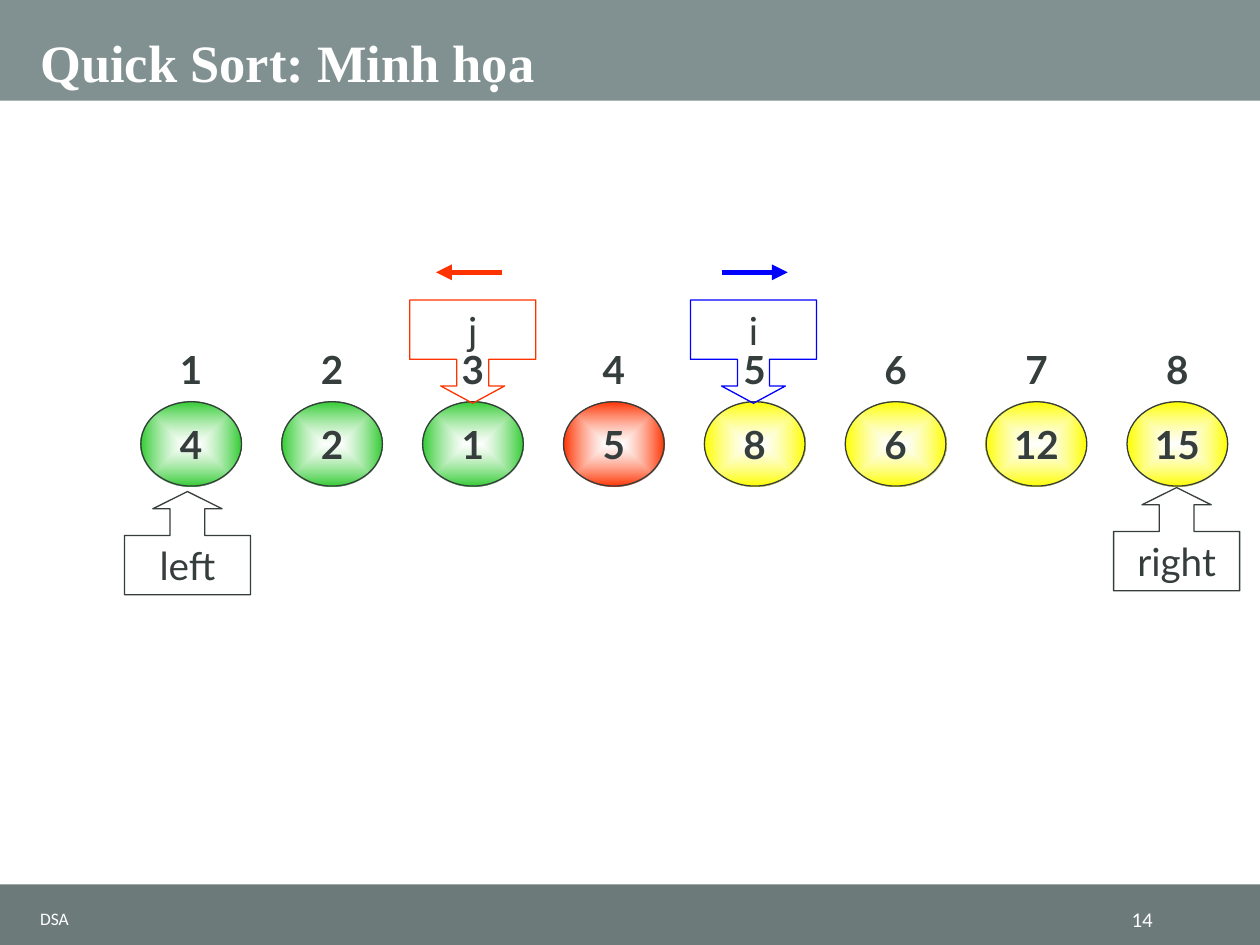
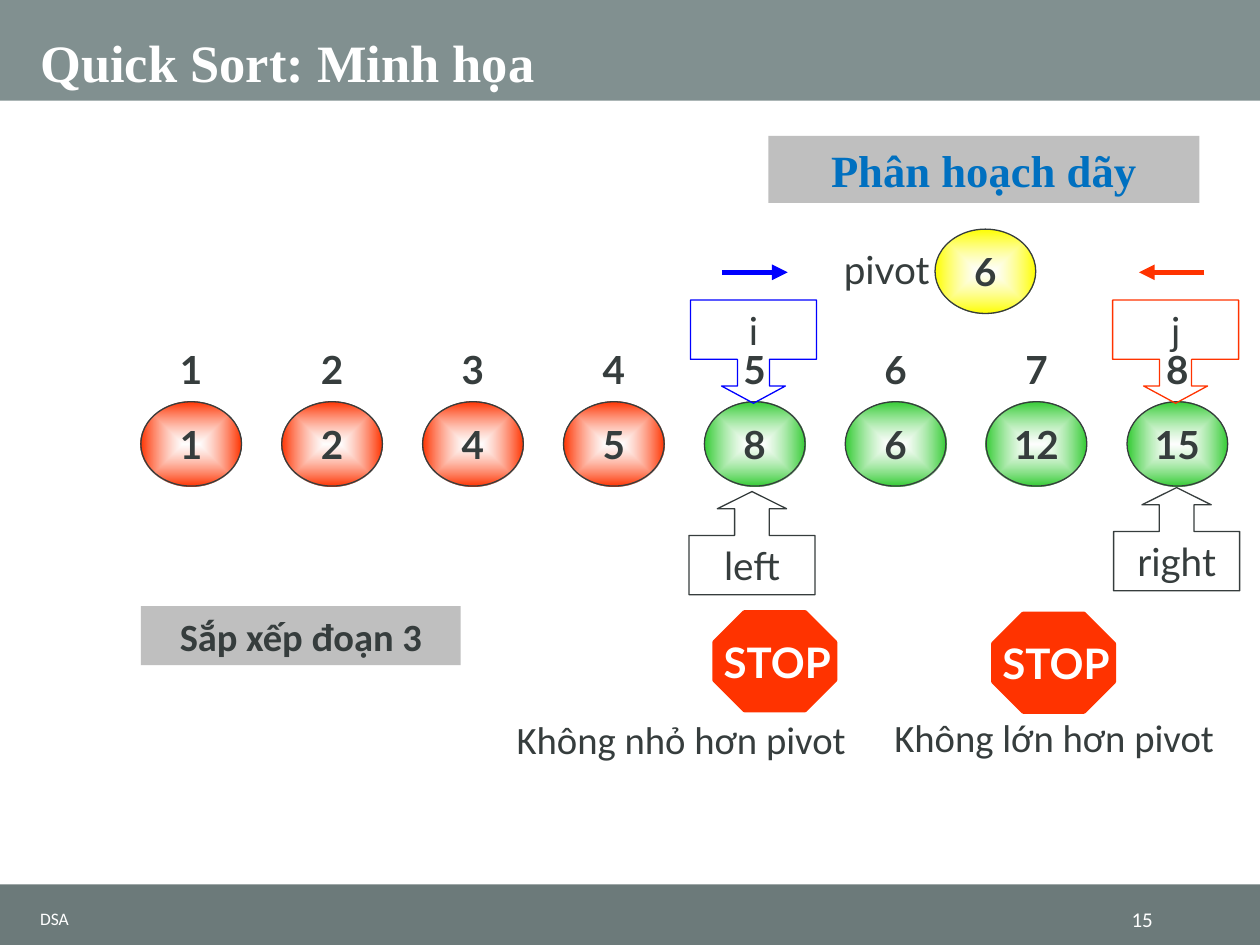
import pptx
import pptx.util
import pptx.dml.color
import pptx.enum.shapes
import pptx.enum.text
import pptx.oxml
import pptx.oxml.ns
from lxml import etree

Cm, Pt = pptx.util.Cm, pptx.util.Pt
RGB = pptx.dml.color.RGBColor.from_string
KIND = pptx.enum.shapes.MSO_SHAPE
ALIGN = pptx.enum.text.PP_ALIGN
ANCHOR = pptx.enum.text.MSO_ANCHOR
qn = pptx.oxml.ns.qn

THEME = {
    "color": {
        "header": "819090", "footer": "6C7A7A", "ink": "363D3D", "white": "FFFFFF",
        "green": "33CC33", "red": "FF3300", "yellow": "FFFF00", "blue": "0000FF",
        "panel": "BFBFBF", "heading": "0070C0",
    },
    "type": {
        "title": {"name": "Times New Roman", "size": Pt(30), "bold": True, "color": "white"},
        "heading": {"name": "Times New Roman", "size": Pt(25.5), "bold": True, "color": "heading"},
        "number": {"name": "Lato", "size": Pt(22.1), "bold": True, "color": "ink"},
        "marker": {"name": "Lato", "size": Pt(22.1), "bold": False, "color": "ink"},
        "stop": {"name": "Lato", "size": Pt(24), "bold": True, "color": "white"},
        "step": {"name": "Calibri", "size": Pt(22), "bold": True, "color": "ink"},
        "caption": {"name": "Calibri", "size": Pt(22.1), "bold": False, "color": "ink"},
        "course": {"name": "Calibri", "size": Pt(10), "bold": False, "color": "white"},
        "page": {"name": "Calibri", "size": Pt(12), "bold": False, "color": "white"},
    },
}
COLOR = {name: RGB(value) for name, value in THEME["color"].items()}


def write(sp, text, style, align=ALIGN.CENTER, anchor=ANCHOR.MIDDLE, **frame):
    """Put one styled paragraph in sp; frame holds further text frame values."""
    tf = sp.text_frame
    for key, value in {"word_wrap": True, "vertical_anchor": anchor, **frame}.items():
        setattr(tf, key, value)
    p = tf.paragraphs[0]
    p.alignment = align
    r = p.add_run()
    r.text = text
    for key, value in THEME["type"][style].items():
        if key == "color":
            r.font.color.rgb = COLOR[value]
        else:
            setattr(r.font, key, value)
    return p


def add(s, kind, box, fill=None, line=None, width=0.75, glow=None, adjust=()):
    """Add a shape (a text box if kind is None); glow fades from white to a colour."""
    box = [Cm(v) for v in box]
    sp = s.shapes.add_textbox(*box) if kind is None else s.shapes.add_shape(kind, *box)
    sp.shadow.inherit = False
    for i, value in enumerate(adjust):
        sp.adjustments[i] = value
    if glow:
        sp.fill.gradient()
        for stop, name in zip(sp.fill.gradient_stops, ("white", glow)):
            stop.color.rgb = COLOR[name]
        for stop, place in zip(sp.fill.gradient_stops, (0, 1)):
            stop.position = place
        grad = sp.element.spPr.find(qn("a:gradFill"))
        white = grad.find(".//" + qn("a:srgbClr"))
        etree.SubElement(white, qn("a:alpha"), val="60000")
        grad.remove(grad.find(qn("a:lin")))
        path = etree.SubElement(grad, qn("a:path"), path="shape")
        etree.SubElement(path, qn("a:fillToRect"), l="50000", t="50000", r="50000", b="50000")
    elif fill:
        sp.fill.solid()
        sp.fill.fore_color.rgb = COLOR[fill]
    else:
        sp.fill.background()
    if line:
        sp.line.color.rgb = COLOR[line]
        sp.line.width = Pt(width)
    else:
        sp.line.fill.background()
    return sp


prs = pptx.Presentation()
prs.slide_width, prs.slide_height = Cm(25.4), Cm(19.05)
layout = prs.slide_layouts[5]

PITCH = 2.84
BALL = (2.03, 1.7)
CALLOUT = (2.54, 2.08)
UP = (KIND.UP_ARROW_CALLOUT, (0.336, 0.336, 0.167, 0.575))
DOWN = (KIND.DOWN_ARROW_CALLOUT, (0.31, 0.31, 0.167, 0.575))

# Numbers, ball colours and the left edges of the movable markers
steps = [
    {"page": 14, "values": (4, 2, 1, 5, 8, 6, 12, 15),
     "colors": ["green"] * 3 + ["red"] + ["yellow"] * 4, "left": 2.51, "j": 8.26},
    {"page": 15, "values": (1, 2, 4, 5, 8, 6, 12, 15),
     "colors": ["red"] * 4 + ["green"] * 4, "left": 13.89, "j": 22.43},
]

for step in steps:
    s = prs.slides.add_slide(layout)
    if step is steps[0]:
        # The bands belong to the layout, behind everything else
        for top, height, name in ((0, 2.03, "header"), (17.83, 1.22, "footer")):
            band = add(s, KIND.RECTANGLE, (0, top, 25.4, height), fill=name)
            layout.shapes.element.insert(2, band.element)

    title = s.shapes.title
    for key, value in {"left": 0.56, "top": 0, "width": 24.31, "height": 2.03}.items():
        setattr(title, key, Cm(value))
    p = write(title, "Quick Sort: Minh họa", "title", ALIGN.LEFT, ANCHOR.BOTTOM,
              auto_size=pptx.enum.text.MSO_AUTO_SIZE.NONE)
    p.line_spacing = 0.9

    for i, (value, color) in enumerate(zip(step["values"], step["colors"])):
        x = PITCH * (i + 1)
        ball = add(s, KIND.OVAL, (x, 8.1, *BALL), line="ink", glow=color)
        write(ball, str(value), "number")
        write(add(s, KIND.OVAL, (x, 6.6, *BALL)), str(i + 1), "number")

    for text, x, y, color, (kind, adjust) in (
        ("left", step["left"], 9.91, "ink", UP),
        ("right", 22.45, 9.83, "ink", UP),
        ("i", 13.92, 6.05, "blue", DOWN),
        ("j", step["j"], 6.05, "red", DOWN),
    ):
        write(add(s, kind, (x, y, *CALLOUT), line=color, adjust=adjust), text, "marker")

    for start, end, color in (
        (14.55, 15.88, "blue"),
        (step["j"] + 1.85, step["j"] + 0.53, "red"),
    ):
        arrow = s.shapes.add_connector(
            pptx.enum.shapes.MSO_CONNECTOR.STRAIGHT, Cm(start), Cm(5.49), Cm(end), Cm(5.49))
        arrow.line.color.rgb = COLOR[color]
        arrow.line.width = Pt(3)
        etree.SubElement(arrow.line._get_or_add_ln(), qn("a:tailEnd"), type="triangle")
        etree.SubElement(arrow.element.spPr, qn("a:effectLst"))

    write(add(s, None, (0.56, 18.19, 17.65, 0.66)), "DSA", "course", ALIGN.LEFT)
    write(add(s, None, (21.51, 18.19, 1.98, 0.66)), str(step["page"]), "page", ALIGN.RIGHT)

# Partition of the third part, on the last slide
write(add(s, None, (16.76, 4.83, 3.12, 1.19)), "pivot", "marker", ALIGN.LEFT)
write(add(s, KIND.OVAL, (18.85, 4.62, *BALL), line="ink", glow="yellow"), "6", "number")

for x, y, caption, caption_x, caption_y in (
    (14.4, 12.34, "Không nhỏ hơn pivot", 9.96, 14.3),
    (20.02, 12.37, "Không lớn hơn pivot", 17.48, 14.27),
):
    sign = add(s, KIND.OCTAGON, (x, y, 2.44, 1.98), fill="red", line="red", width=2.25,
               adjust=(0.307,))
    write(sign, "STOP", "stop", word_wrap=False, margin_left=Cm(0.1), margin_right=0)
    write(add(s, None, (caption_x, caption_y, 7.54, 1.19)), caption, "caption",
          margin_left=0, margin_right=0)

for box, text, style in (
    ((2.84, 12.22, 6.45, 1.19), "Sắp xếp đoạn 3", "step"),
    ((15.49, 2.74, 8.69, 1.35), "Phân hoạch dãy", "heading"),
):
    write(add(s, KIND.RECTANGLE, box, fill="panel"), text, style)

prs.save("out.pptx")
